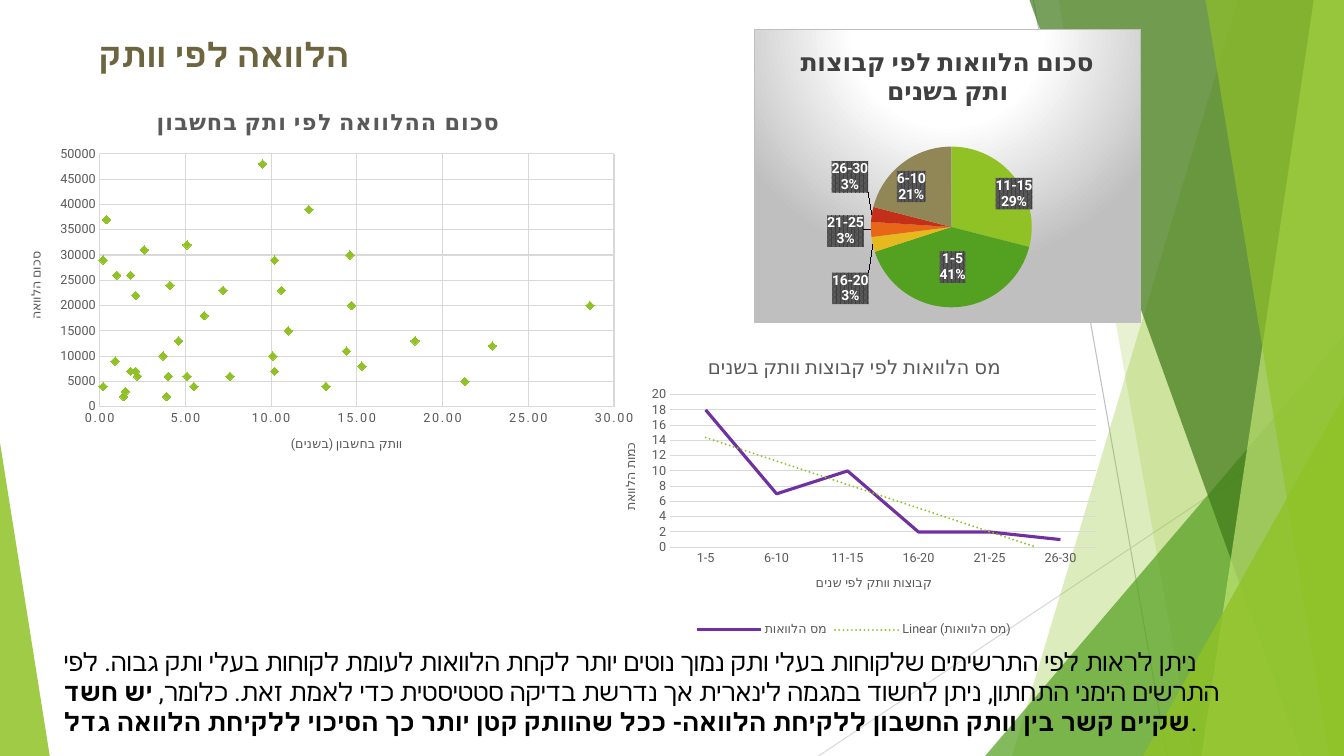
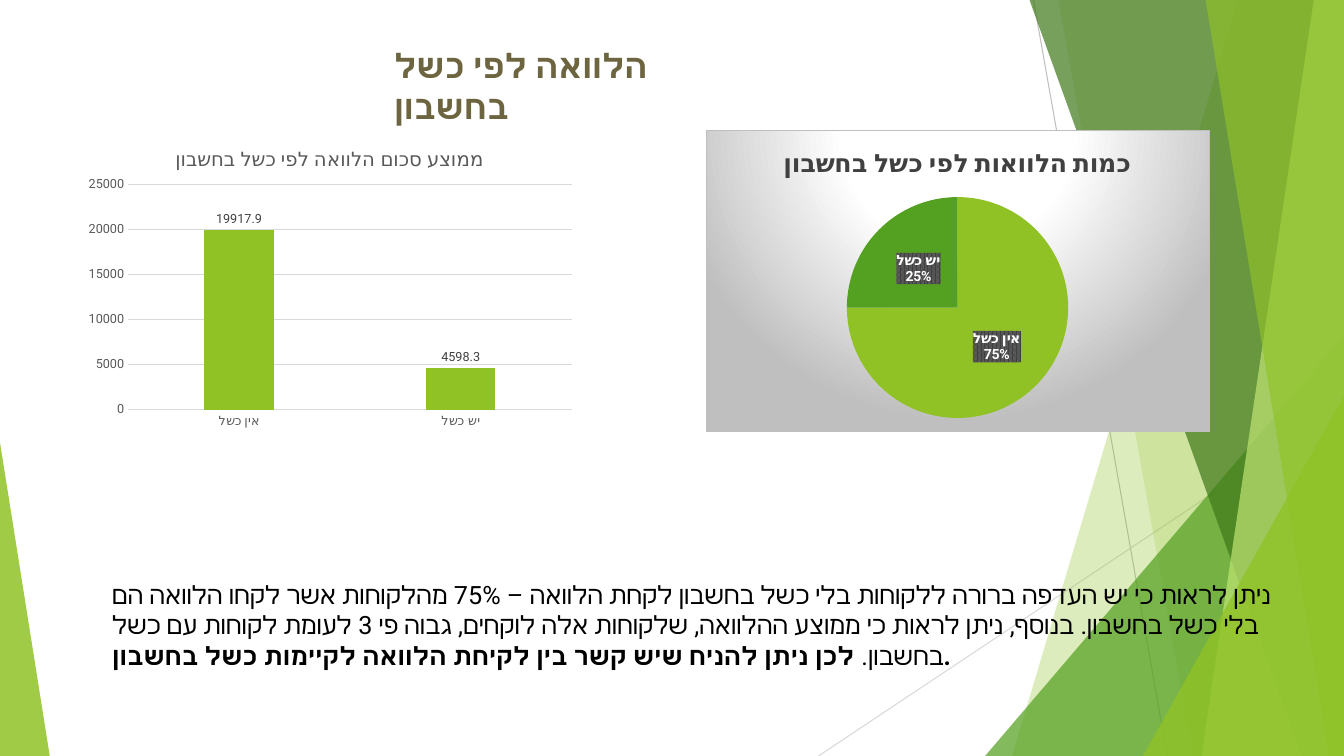
from copy import deepcopy

from lxml import etree
from pptx import Presentation
from pptx.chart.data import CategoryChartData, XyChartData
from pptx.dml.color import RGBColor
from pptx.enum.chart import (XL_CHART_TYPE as Kind, XL_LABEL_POSITION as LabelAt,
                             XL_LEGEND_POSITION as LegendAt,
                             XL_MARKER_STYLE as Marker, XL_TICK_MARK as Tick)
from pptx.enum.shapes import MSO_CONNECTOR as Connector, MSO_SHAPE as Preset
from pptx.enum.text import MSO_AUTO_SIZE as AutoSize
from pptx.oxml import parse_xml
from pptx.oxml.ns import nsdecls, qn
from pptx.util import Inches, Pt

FONT = "Roboto"
LIME = RGBColor(0x90, 0xC2, 0x26)
GREEN = RGBColor(0x54, 0xA0, 0x21)
FOREST = RGBColor(0x3F, 0x78, 0x19)
PALE_LIME = RGBColor(0xC0, 0xE4, 0x74)
YELLOW = RGBColor(0xE6, 0xB9, 0x1E)
ORANGE = RGBColor(0xE7, 0x66, 0x18)
RED = RGBColor(0xC4, 0x2F, 0x1A)
KHAKI = RGBColor(0x91, 0x86, 0x55)
OLIVE = RGBColor(0x6D, 0x65, 0x40)
PURPLE = RGBColor(0x70, 0x30, 0xA0)
BLACK = RGBColor(0, 0, 0)
WHITE = RGBColor(0xFF, 0xFF, 0xFF)
DARK = RGBColor(0x40, 0x40, 0x40)
GRAY = RGBColor(0x59, 0x59, 0x59)
SILVER = RGBColor(0xBF, 0xBF, 0xBF)
PALE = RGBColor(0xD9, 0xD9, 0xD9)

presentation = Presentation()
presentation.slide_width, presentation.slide_height = Inches(13.33), Inches(7.5)


# Lengths are percentages of the slide's width and height
def across(share):
    return int(presentation.slide_width * share / 100)


def down(share):
    return int(presentation.slide_height * share / 100)


def place(box):
    left, top, width, height = box
    return across(left), down(top), across(width), down(height)


# Text
def style(font, size, color, bold=False, spacing=0):
    font.name, font.size, font.bold = FONT, Pt(size), bold
    font.color.rgb = color
    properties = font._rPr
    etree.SubElement(properties, qn("a:cs")).set("typeface", FONT)
    if spacing:
        properties.set("spc", str(spacing))


def write(text_frame, text, **text_format):
    run = text_frame.paragraphs[0].add_run()
    run.text = text
    style(run.font, **text_format)


def add_text(slide, box, runs, size, color):
    frame = slide.shapes.add_textbox(*place(box)).text_frame
    frame.word_wrap = True
    frame.auto_size = AutoSize.SHAPE_TO_FIT_TEXT
    for text, bold in runs:
        write(frame, text, size=size, color=color, bold=bold)


def add_title(slide, box, text):
    add_text(slide, box, [(text, True)], 24, OLIVE)


def add_body(slide, box, runs):
    add_text(slide, box, runs, 18, BLACK)


# Green facets along the edges
def paint(shape, color, opacity):
    shape.shadow.inherit = False
    shape.fill.solid()
    shape.fill.fore_color.rgb = color
    shape.line.fill.background()
    fill = shape._element.spPr.find(qn("a:solidFill"))
    etree.SubElement(fill[0], qn("a:alpha")).set("val", str(opacity * 1000))


def add_facet(slide, top_x, bottom_x, color, opacity):
    outline = slide.shapes.build_freeform(across(top_x), 0)
    corners = [(100, 0), (100, 100), (bottom_x, 100)]
    outline.add_line_segments([(across(x), down(y)) for x, y in corners])
    paint(outline.convert_to_shape(), color, opacity)


def add_triangle(slide, box, apex, color, opacity):
    triangle = slide.shapes.add_shape(Preset.ISOSCELES_TRIANGLE, *place(box))
    triangle.adjustments[0] = apex
    paint(triangle, color, opacity)


def add_ray(slide, start, end, color):
    ray = slide.shapes.add_connector(Connector.STRAIGHT, across(start[0]), down(start[1]),
                                     across(end[0]), down(end[1]))
    ray.line.color.rgb, ray.line.width = color, Pt(0.75)
    etree.SubElement(ray._element.spPr, qn("a:effectLst"))


def add_decorated_slide():
    slide = presentation.slides.add_slide(presentation.slide_layouts[6])
    add_ray(slide, (76.9, 0), (86.85, 100), SILVER)
    add_ray(slide, (100, 53.7), (60.9, 100), PALE)
    add_facet(slide, 92.1, 75.3, LIME, 30)
    add_facet(slide, 78.75, 88.75, LIME, 20)
    add_triangle(slide, (73.3, 44.4, 26.7, 55.6), 1, GREEN, 72)
    add_facet(slide, 76.6, 96.85, FOREST, 70)
    add_facet(slide, 97.75, 89.4, PALE_LIME, 70)
    add_facet(slide, 89.7, 98.9, LIME, 65)
    add_triangle(slide, (85.05, 52.4, 14.95, 47.6), 1, LIME, 80)
    add_triangle(slide, (0, 58.55, 3.7, 41.45), 0, LIME, 85)
    return slide


# Charts
CLEAR = "<a:noFill/><a:ln><a:noFill/></a:ln>"
GLOW = f"""<a:gradFill><a:gsLst>
<a:gs pos="0"><a:srgbClr val="{WHITE}"/></a:gs>
<a:gs pos="39000"><a:srgbClr val="{WHITE}"/></a:gs>
<a:gs pos="100000"><a:srgbClr val="{SILVER}"/></a:gs></a:gsLst>
<a:path path="circle"><a:fillToRect l="50000" t="-80000" r="50000" b="180000"/></a:path>
</a:gradFill><a:ln w="9525"><a:solidFill><a:srgbClr val="{SILVER}"/></a:solidFill></a:ln>"""
HATCH = f"""<a:pattFill prst="pct75"><a:fgClr><a:srgbClr val="{DARK}"/></a:fgClr>
<a:bgClr><a:srgbClr val="{GRAY}"/></a:bgClr></a:pattFill>"""


def chart_xml(tag, content):
    return parse_xml(f'<c:{tag} {nsdecls("c", "a")}>{content}</c:{tag}>')


def manual_layout(inner=False, **shares):
    target = '<c:layoutTarget val="inner"/>' if inner else ""
    modes = '<c:xMode val="edge"/><c:yMode val="edge"/>' if inner else ""
    sizes = "".join(f'<c:{key} val="{value}"/>' for key, value in shares.items())
    return chart_xml("layout", f"<c:manualLayout>{target}{modes}{sizes}</c:manualLayout>")


def add_chart(slide, box, kind, data, title, plot_box, surface=CLEAR, **title_format):
    chart = slide.shapes.add_chart(kind, *place(box), data).chart
    style(chart.font, 10, BLACK)
    chart.has_legend = False
    chart.has_title = True
    chart.chart_title.include_in_layout = False
    write(chart.chart_title.text_frame, title, **title_format)
    body = chart._chartSpace.find(qn("c:chart"))
    body.addnext(chart_xml("spPr", surface))
    plot_area = body.find(qn("c:plotArea"))
    for layout in plot_area.findall(qn("c:layout")):
        plot_area.remove(layout)
    plot_area.insert(0, manual_layout(True, **dict(zip("xywh", plot_box))))
    plot_area.append(chart_xml("spPr", CLEAR))
    chart.plots[0].vary_by_categories = kind == Kind.PIE
    return chart


def format_axis(axis, title=None, line=True, grid=False, spacing=0, number_format="General"):
    axis.major_tick_mark = axis.minor_tick_mark = Tick.NONE
    style(axis.tick_labels.font, 9, GRAY, spacing=spacing)
    axis.tick_labels.number_format = number_format
    axis.tick_labels.number_format_is_linked = False
    axis.has_major_gridlines = grid
    lines = [axis.major_gridlines.format.line] if grid else []
    if line:
        lines.append(axis.format.line)
    else:
        axis.format.line.fill.background()
    for stroke in lines:
        stroke.color.rgb, stroke.width = PALE, Pt(0.75)
    if title:
        write(axis.axis_title.text_frame, title, size=9, color=GRAY)


def set_scale(axis, maximum, step):
    axis.minimum_scale, axis.maximum_scale, axis.major_unit = 0, maximum, step


def turn_title(axis):
    properties = axis.axis_title.text_frame._txBody.find(qn("a:bodyPr"))
    properties.set("rot", "-5400000")
    properties.set("vert", "horz")


def category_data(name, values):
    data = CategoryChartData()
    data.categories = list(values)
    data.add_series(name, list(values.values()))
    return data


def add_scatter(slide, box, title, x_title, y_title, points):
    data = XyChartData()
    series_data = data.add_series("Series 1")
    for x, y in points:
        series_data.add_data_point(x, y)
    chart = add_chart(slide, box, Kind.XY_SCATTER, data, title, (0.14, 0.165, 0.81, 0.66),
                      size=16, color=GRAY, bold=True, spacing=100)
    format_axis(chart.category_axis, x_title, grid=True, spacing=120, number_format="0.00")
    format_axis(chart.value_axis, y_title, grid=True)
    set_scale(chart.category_axis, 30, 5)
    set_scale(chart.value_axis, 50000, 5000)
    turn_title(chart.value_axis)
    series = chart.plots[0].series[0]
    series.format.line.fill.background()
    series.marker.style, series.marker.size = Marker.DIAMOND, 6
    series.marker.format.fill.solid()
    series.marker.format.fill.fore_color.rgb = LIME
    series.marker.format.line.color.rgb = LIME


def add_trend_chart(slide, box, title, x_title, y_title, name, values):
    chart = add_chart(slide, box, Kind.LINE, category_data(name, values), title,
                      (0.135, 0.185, 0.845, 0.505), size=14, color=GRAY)
    format_axis(chart.category_axis, x_title)
    format_axis(chart.value_axis, y_title, line=False, grid=True)
    set_scale(chart.value_axis, 20, 2)
    turn_title(chart.value_axis)
    chart.has_legend = True
    chart.legend.position, chart.legend.include_in_layout = LegendAt.BOTTOM, False
    style(chart.legend.font, 9, GRAY)
    series = chart.plots[0].series[0]
    series.smooth = False
    series.marker.style = Marker.NONE
    series.format.line.color.rgb, series.format.line.width = PURPLE, Pt(2.25)
    trend = chart_xml("trendline", f"""<c:spPr><a:ln w="19050" cap="rnd"><a:solidFill>
        <a:srgbClr val="{LIME}"/></a:solidFill><a:prstDash val="sysDot"/></a:ln></c:spPr>
        <c:trendlineType val="linear"/><c:dispRSqr val="0"/><c:dispEq val="0"/>""")
    series._element.find(qn("c:cat")).addprevious(trend)


def add_columns(slide, box, title, values):
    chart = add_chart(slide, box, Kind.COLUMN_CLUSTERED, category_data("Series 1", values),
                      title, (0.1, 0.18, 0.88, 0.745), size=14, color=GRAY)
    format_axis(chart.category_axis)
    format_axis(chart.value_axis, line=False, grid=True)
    set_scale(chart.value_axis, 25000, 5000)
    plot = chart.plots[0]
    plot.gap_width, plot.overlap = 219, -27
    series = plot.series[0]
    series.format.fill.solid()
    series.format.fill.fore_color.rgb = LIME
    labels = series.data_labels
    labels.show_value, labels.position = True, LabelAt.OUTSIDE_END
    style(labels.font, 9, DARK)


def add_pie(slide, box, title, plot_box, values, colors, label_shifts=None):
    chart = add_chart(slide, box, Kind.PIE, category_data("Series 1", values), title,
                      plot_box, GLOW, size=18, color=DARK, bold=True)
    series = chart.plots[0].series[0]
    for index, color in enumerate(colors):
        fill = series.points[index].format.fill
        fill.solid()
        fill.fore_color.rgb = color
    labels = series.data_labels
    labels.show_value = False
    labels.show_category_name = labels.show_percentage = True
    labels.position = LabelAt.CENTER
    style(labels.font, 10, WHITE, bold=True)
    element = labels._element
    element.find(qn("c:txPr")).addprevious(chart_xml("spPr", HATCH))
    element.find(qn("c:showBubbleSize")).addnext(chart_xml("separator", "\n"))
    # Labels moved away from the middle of their slices
    shared = [part for part in element if part.tag != qn("c:showLeaderLines")]
    for position, (index, (x, y)) in enumerate((label_shifts or {}).items()):
        label = chart_xml("dLbl", f'<c:idx val="{index}"/>')
        label.append(manual_layout(x=x, y=y))
        label.extend(deepcopy(shared))
        element.insert(position, label)


# Slide 1: loans by seniority
LOANS = [
    (0.4, 37), (14.7, 20), (12.2, 39), (9.5, 48), (18.4, 13), (22.9, 12), (2.1, 7), (4, 6),
    (1.4, 2), (14.4, 11), (10.1, 10), (6.1, 18), (13.2, 4), (28.6, 20), (15.3, 8), (0.2, 29),
    (1.8, 7), (7.2, 23), (0.2, 4), (0.9, 9), (2.2, 6), (21.3, 5), (10.2, 29), (3.9, 2),
    (3.7, 10), (4.6, 13), (5.1, 32), (5.1, 6), (5.5, 4), (2.1, 22), (7.6, 6), (14.6, 30),
    (10.2, 7), (1, 26), (1.5, 3), (4.1, 24), (2.6, 31), (11, 15), (10.6, 23), (1.8, 26)]

slide = add_decorated_slide()
add_scatter(slide, (0.8, 12, 47.25, 50.67), "סכום ההלוואה לפי ותק בחשבון",
            "וותק בחשבון (בשנים)", "סכום הלוואה", [(x, y * 1000) for x, y in LOANS])
add_title(slide, (6.6, 3.87, 55.05, 6.67), "הלוואה לפי וותק")
add_body(slide, (4, 84.8, 92.05, 13.47), [
    ("ניתן לראות לפי התרשימים שלקוחות בעלי ותק נמוך נוטים יותר לקחת הלוואות לעומת לקוחות "
     "בעלי ותק גבוה. לפי התרשים הימני התחתון, ניתן לחשוד במגמה לינארית אך נדרשת בדיקה "
     "סטטיסטית כדי לאמת זאת. כלומר, ", False),
    ("יש חשד שקיים קשר בין וותק החשבון ללקיחת הלוואה- ככל שהוותק קטן יותר כך הסיכוי "
     "ללקיחת הלוואה גדל", True),
    (". ", False)])
add_trend_chart(slide, (44.8, 44.8, 37.5, 40), "מס הלוואות לפי קבוצות וותק בשנים",
                "קבוצות וותק לפי שנים", "כמות הלוואת", "מס הלוואות",
                {"1-5": 18, "6-10": 7, "11-15": 10, "16-20": 2, "21-25": 2, "26-30": 1})
add_pie(slide, (56.1, 3.87, 28.8, 38.8), "סכום הלוואות לפי קבוצות ותק בשנים",
        (0.3, 0.4, 0.42, 0.55),
        {"11-15": 29, "1-5": 41, "16-20": 3, "21-25": 3, "26-30": 3, "6-10": 21},
        [LIME, GREEN, YELLOW, ORANGE, RED, KHAKI],
        {0: (0.08, -0.03), 2: (-0.16, 0.18), 3: (-0.17, 0.01), 4: (-0.16, -0.15),
         5: (-0.04, -0.03)})

# Slide 2: loans by account failure
slide = add_decorated_slide()
add_columns(slide, (5.78, 17.2, 37.5, 40), "ממוצע סכום הלוואה לפי כשל בחשבון",
            {"אין כשל": 19917.9, "יש כשל": 4598.3})
add_pie(slide, (52.5, 17.2, 37.5, 40), "כמות הלוואות לפי כשל בחשבון",
        (0.28, 0.22, 0.44, 0.735), {"אין כשל": 75, "יש כשל": 25}, [LIME, GREEN])
add_title(slide, (28.58, 5.33, 26.2, 6.67), "הלוואה לפי כשל בחשבון")
add_body(slide, (7.6, 76, 88.6, 13.47), [
    ("ניתן לראות כי יש העדפה ברורה ללקוחות בלי כשל בחשבון לקחת הלוואה – 75% מהלקוחות אשר "
     "לקחו הלוואה הם בלי כשל בחשבון. בנוסף, ניתן לראות כי ממוצע ההלוואה, שלקוחות אלה "
     "לוקחים, גבוה פי 3 לעומת לקוחות עם כשל בחשבון. ", False),
    ("לכן ניתן להניח שיש קשר בין לקיחת הלוואה לקיימות כשל בחשבון.", True)])

presentation.save("out.pptx")
